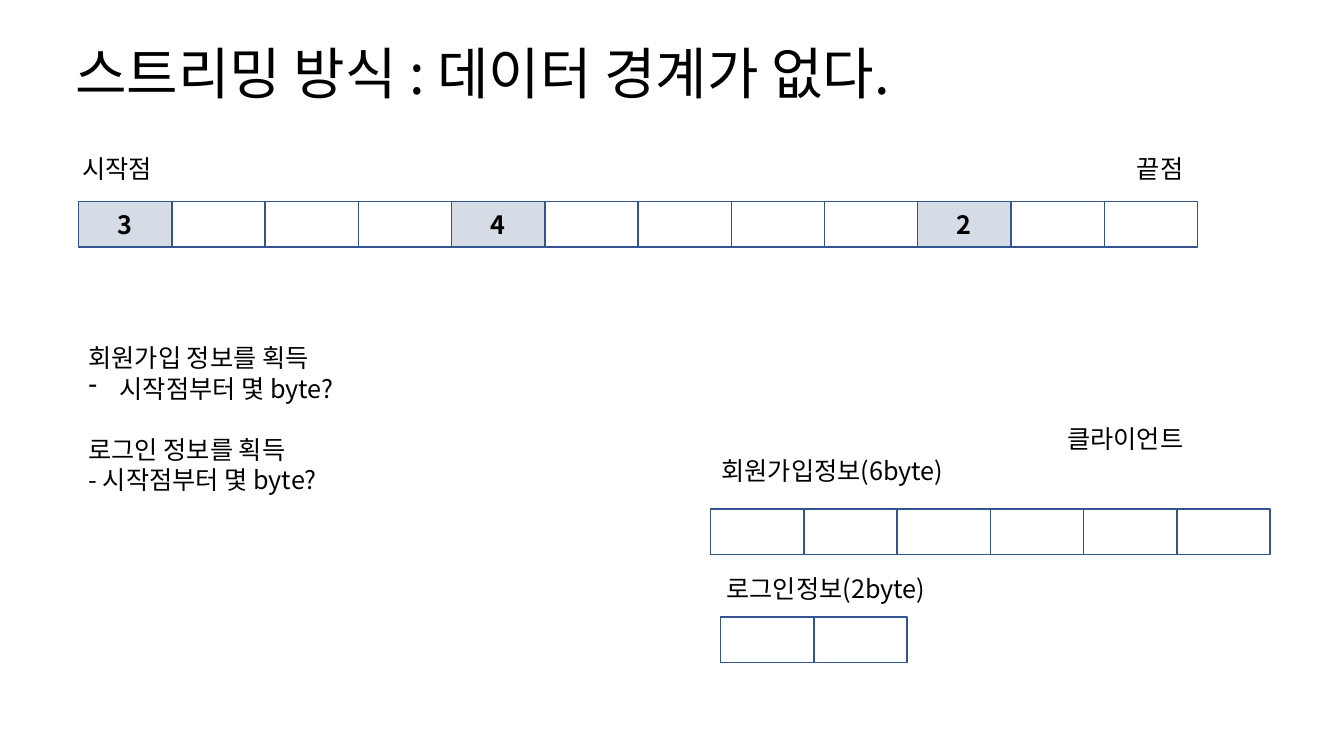
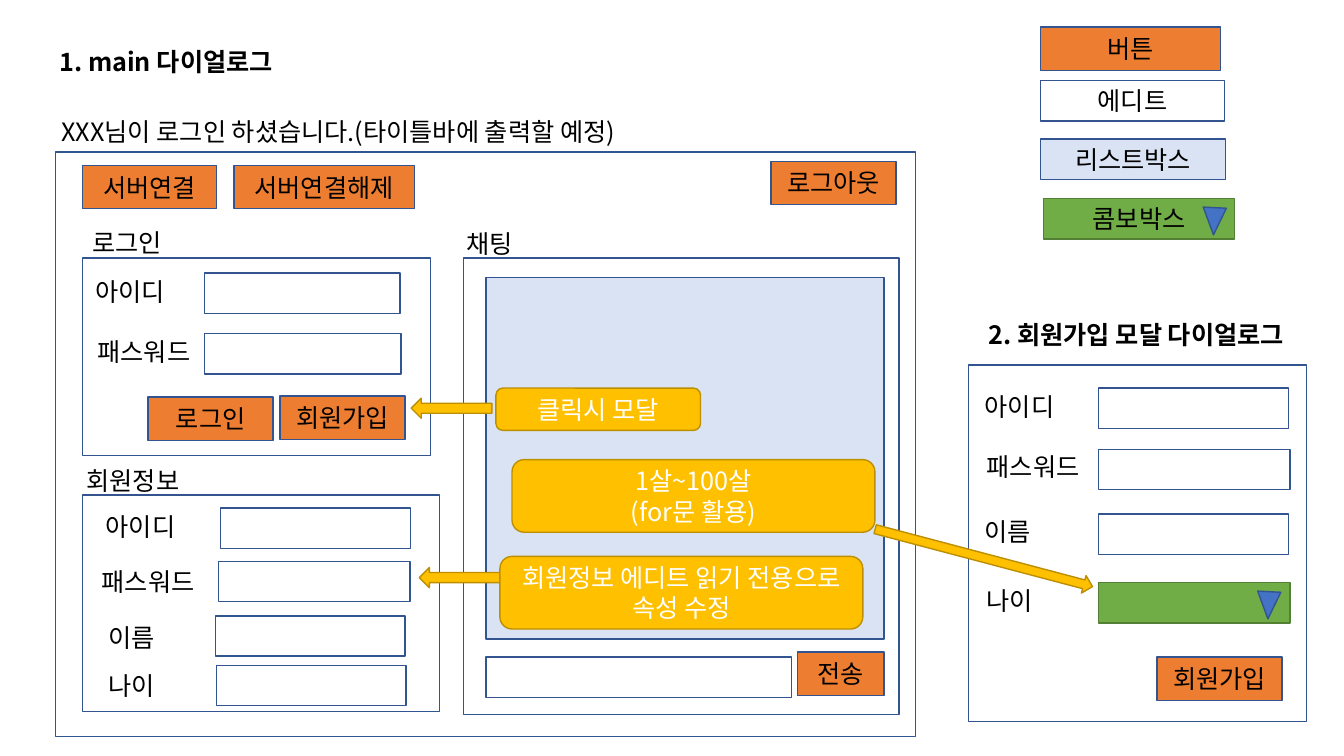
"""Build two slides: a byte stream diagram and a chat dialog wireframe."""
from dataclasses import dataclass
from typing import NamedTuple

from lxml import etree
from pptx import Presentation
from pptx.dml.color import RGBColor
from pptx.enum.shapes import MSO_SHAPE
from pptx.enum.text import MSO_ANCHOR, MSO_AUTO_SIZE, PP_ALIGN
from pptx.oxml.ns import qn
from pptx.util import Inches, Length, Pt

RECT = MSO_SHAPE.RECTANGLE
ROUNDED = MSO_SHAPE.FLOWCHART_ALTERNATE_PROCESS
ARROW = MSO_SHAPE.UP_ARROW
TRIANGLE = MSO_SHAPE.ISOSCELES_TRIANGLE
MIDDLE = MSO_ANCHOR.MIDDLE
FIT_TEXT = MSO_AUTO_SIZE.SHAPE_TO_FIT_TEXT
CENTER = PP_ALIGN.CENTER

COLUMNS, ROWS = 133.33, 75
CELL = 0.1
FONT = "Noto Sans CJK KR"
BODY_SIZE, TITLE_SIZE = 18, 40
BLACK, WHITE = "000000", "FFFFFF"
NAVY, BLUE, PALE_BLUE, GREY = "325491", "4472C4", "DAE3F3", "D6DCE5"
ORANGE, GREEN, DARK_GREEN = "ED7D31", "70AD47", "538035"
AMBER, DARK_AMBER = "FFC000", "BD8E00"
BYTE_W, BYTE_H = 9.25, 4.5


@dataclass(frozen=True)
class Style:
    fill: str | None = None
    line: str = NAVY
    color: str = BLACK
    bold: bool = False
    kind: MSO_SHAPE = RECT
    height: float = 4


class Box(NamedTuple):
    style: Style
    x: float
    y: float
    w: float
    text: str = ""
    h: float | None = None
    rotation: float = 0


class Label(NamedTuple):
    x: float
    y: float
    text: str
    w: float | None = None
    bold: bool = False
    size: int = BODY_SIZE
    h: float = 4


class ByteRow(NamedTuple):
    x: float
    y: float
    count: int
    headers: dict[int, str]


PANEL = Style()
EDIT = Style()
BUTTON = Style(fill=ORANGE, height=4.3)
LIST_BOX = Style(fill=PALE_BLUE)
COMBO = Style(fill=GREEN, line=DARK_GREEN)
DROP_MARK = Style(fill=BLUE, kind=TRIANGLE, height=2.7)
CALLOUT = Style(fill=AMBER, line=DARK_AMBER, color=WHITE, kind=ROUNDED, height=7.2)
POINTER = Style(fill=AMBER, line=DARK_AMBER, kind=ARROW, height=8)
BYTE = Style(height=BYTE_H)
HEADER_BYTE = Style(fill=GREY, bold=True, height=BYTE_H)

BYTE_ROWS = [
    ByteRow(7.8, 20, 12, {0: "3", 4: "4", 9: "2"}),
    ByteRow(70.5, 50.5, 6, {}),
    ByteRow(71.5, 61.2, 2, {}),
]
STREAM_LABELS = [
    Label(6.5, 3.3, "스트리밍 방식 : 데이터 경계가 없다.", 92.9, size=TITLE_SIZE, h=7.7),
    Label(7.2, 14.7, "시작점"),
    Label(111.8, 14.7, "끝점"),
    Label(104.9, 41.5, "클라이언트"),
    Label(70.6, 44.7, "회원가입정보(6byte)", 25.1),
    Label(71.1, 56.4, "로그인정보(2byte)", 22.5),
]
QUESTIONS = Label(
    7.8, 33.5,
    "회원가입 정보를 획득\n시작점부터 몇 byte?\n로그인 정보를 획득\n- 시작점부터 몇 byte?",
    28.2, h=16.2,
)

DIALOG_BOXES = [
    Box(PANEL, 5.5, 15.1, 85.3, h=58),
    Box(PANEL, 8.2, 25.6, 34.5, h=19.6),
    Box(PANEL, 46, 25.6, 43.2, h=45.3),
    Box(PANEL, 96.1, 36.2, 33.5, h=35.4),
    Box(PANEL, 8.2, 49.1, 35.4, h=21.5),
    Box(BUTTON, 103.2, 2.7, 17.9, "버튼"),
    Box(EDIT, 103.2, 8, 18.3, "에디트"),
    Box(LIST_BOX, 103.2, 13.8, 18.4, "리스트박스"),
    Box(COMBO, 103.5, 19.7, 19, "콤보박스"),
    Box(DROP_MARK, 119.3, 20.6, 2.3, rotation=182.8),
    Box(BUTTON, 8.2, 16.4, 13.3, "서버연결"),
    Box(BUTTON, 23.2, 16.4, 17.9, "서버연결해제"),
    Box(BUTTON, 76.5, 16, 12.4, "로그아웃"),
    Box(EDIT, 20.3, 27.1, 19.4),
    Box(EDIT, 20.3, 33.1, 19.5),
    Box(BUTTON, 14.7, 39.4, 12.4, "로그인"),
    Box(BUTTON, 27.8, 39.3, 12.4, "회원가입"),
    Box(LIST_BOX, 48.2, 27.5, 39.5, h=35.9),
    Box(EDIT, 48.2, 65.2, 30.3),
    Box(BUTTON, 79.1, 64.7, 8.6, "전송"),
    Box(EDIT, 21.9, 50.4, 18.8),
    Box(EDIT, 21.7, 55.7, 19),
    Box(EDIT, 21.4, 61.1, 18.8),
    Box(EDIT, 21.5, 66, 18.8),
    Box(EDIT, 109, 38.5, 18.8),
    Box(EDIT, 109, 44.6, 19),
    Box(EDIT, 109, 51, 18.8),
    Box(COMBO, 109, 57.8, 19),
    Box(DROP_MARK, 124.7, 58.7, 2.3, rotation=182.8),
    Box(BUTTON, 114.8, 65.2, 12.4, "회원가입"),
    Box(POINTER, 43.8, 36.5, 2, rotation=270),
    Box(CALLOUT, 49.2, 38.5, 20.3, "클릭시 모달", h=4.2),
    Box(POINTER, 44.6, 53.3, 2, rotation=270),
    Box(CALLOUT, 49.6, 55.2, 36, "회원정보 에디트 읽기 전용으로 속성 수정"),
    Box(CALLOUT, 50.8, 45.6, 36, "1살~100살\n(for문 활용)"),
    Box(POINTER, 96.7, 44.2, 1.8, h=22.3, rotation=104.8),
]
DIALOG_LABELS = [
    Label(4.9, 4.1, "1. main 다이얼로그", 24.5, bold=True),
    Label(97.1, 31.2, "2. 회원가입 모달 다이얼로그", 34.6, bold=True),
    Label(5.1, 11, "XXX님이 로그인 하셨습니다.(타이틀바에 출력할 예정)", 62.8),
    Label(8.2, 22.1, "로그인"),
    Label(8.5, 26.9, "아이디"),
    Label(8.7, 32.9, "패스워드"),
    Label(45.3, 22.2, "채팅"),
    Label(7.6, 45.7, "회원정보"),
    Label(9.5, 50.2, "아이디"),
    Label(9.1, 55.7, "패스워드"),
    Label(9.8, 61.2, "이름"),
    Label(9.8, 66, "나이"),
    Label(96.7, 38.3, "아이디"),
    Label(96.9, 44.3, "패스워드"),
    Label(96.7, 50.7, "이름"),
    Label(96.9, 57.6, "나이"),
]


def grid(cells: float) -> Length:
    """Convert grid cells to a length."""
    return Inches(cells * CELL)


def rgb(color: str) -> RGBColor:
    """Convert a hex string to a colour."""
    return RGBColor.from_string(color)


def write(tf, text: str, size: int, color: str, bold: bool, align=None) -> None:
    """Write one styled paragraph for each line of text."""
    for i, line in enumerate(text.split("\n")):
        p = tf.paragraphs[0] if i == 0 else tf.add_paragraph()
        p.text = line
        p.alignment = align
        p.font.size = Pt(size)
        p.font.bold = bold
        p.font.color.rgb = rgb(color)
        p.font.name = FONT
        props = p._p.get_or_add_pPr().find(qn("a:defRPr"))
        etree.SubElement(props, qn("a:ea"), typeface=FONT)


def draw_box(s, box: Box) -> None:
    """Draw a styled shape with optional centred text."""
    style = box.style
    height = box.h or style.height
    sp = s.shapes.add_shape(style.kind, grid(box.x), grid(box.y), grid(box.w), grid(height))
    sp.shadow.inherit = False
    sp.rotation = box.rotation
    if style.fill:
        sp.fill.solid()
        sp.fill.fore_color.rgb = rgb(style.fill)
    else:
        sp.fill.background()
    sp.line.color.rgb = rgb(style.line)
    sp.line.width = Pt(1)
    if box.text:
        tf = sp.text_frame
        tf.word_wrap = True
        tf.vertical_anchor = MIDDLE
        write(tf, box.text, BODY_SIZE, style.color, style.bold, CENTER)


def draw_label(s, label: Label):
    """Draw an unwrapped text box and return its text frame."""
    width = label.w or 2.1 + 2.5 * len(label.text)
    sp = s.shapes.add_textbox(grid(label.x), grid(label.y), grid(width), grid(label.h))
    tf = sp.text_frame
    tf.word_wrap = False
    tf.auto_size = FIT_TEXT
    write(tf, label.text, label.size, BLACK, label.bold)
    return tf


def draw_bytes(s, row: ByteRow) -> None:
    """Draw a row of adjoining bytes, shading those that hold a length."""
    for i in range(row.count):
        style = HEADER_BYTE if i in row.headers else BYTE
        draw_box(s, Box(style, row.x + i * BYTE_W, row.y, BYTE_W, row.headers.get(i, "")))


def add_dash(p) -> None:
    """Give a paragraph a hanging dash bullet."""
    props = p._p.get_or_add_pPr()
    props.set("marL", str(grid(3.1)))
    props.set("indent", str(-grid(3.1)))
    dash = etree.Element(qn("a:buChar"), char="-")
    props.find(qn("a:defRPr")).addprevious(dash)


def build_stream(s) -> None:
    """Draw the byte stream slide."""
    for row in BYTE_ROWS:
        draw_bytes(s, row)
    for label in STREAM_LABELS:
        draw_label(s, label)
    _, detail, login, _ = draw_label(s, QUESTIONS).paragraphs
    add_dash(detail)
    login.space_before = Pt(22)


def build_dialogs(s) -> None:
    """Draw the dialog wireframe slide."""
    for box in DIALOG_BOXES:
        draw_box(s, box)
    for label in DIALOG_LABELS:
        draw_label(s, label)


def main() -> None:
    """Build and save the presentation."""
    prs = Presentation()
    prs.slide_width, prs.slide_height = grid(COLUMNS), grid(ROWS)
    blank = prs.slide_layouts[6]
    for build in (build_stream, build_dialogs):
        build(prs.slides.add_slide(blank))
    prs.save("out.pptx")


main()
